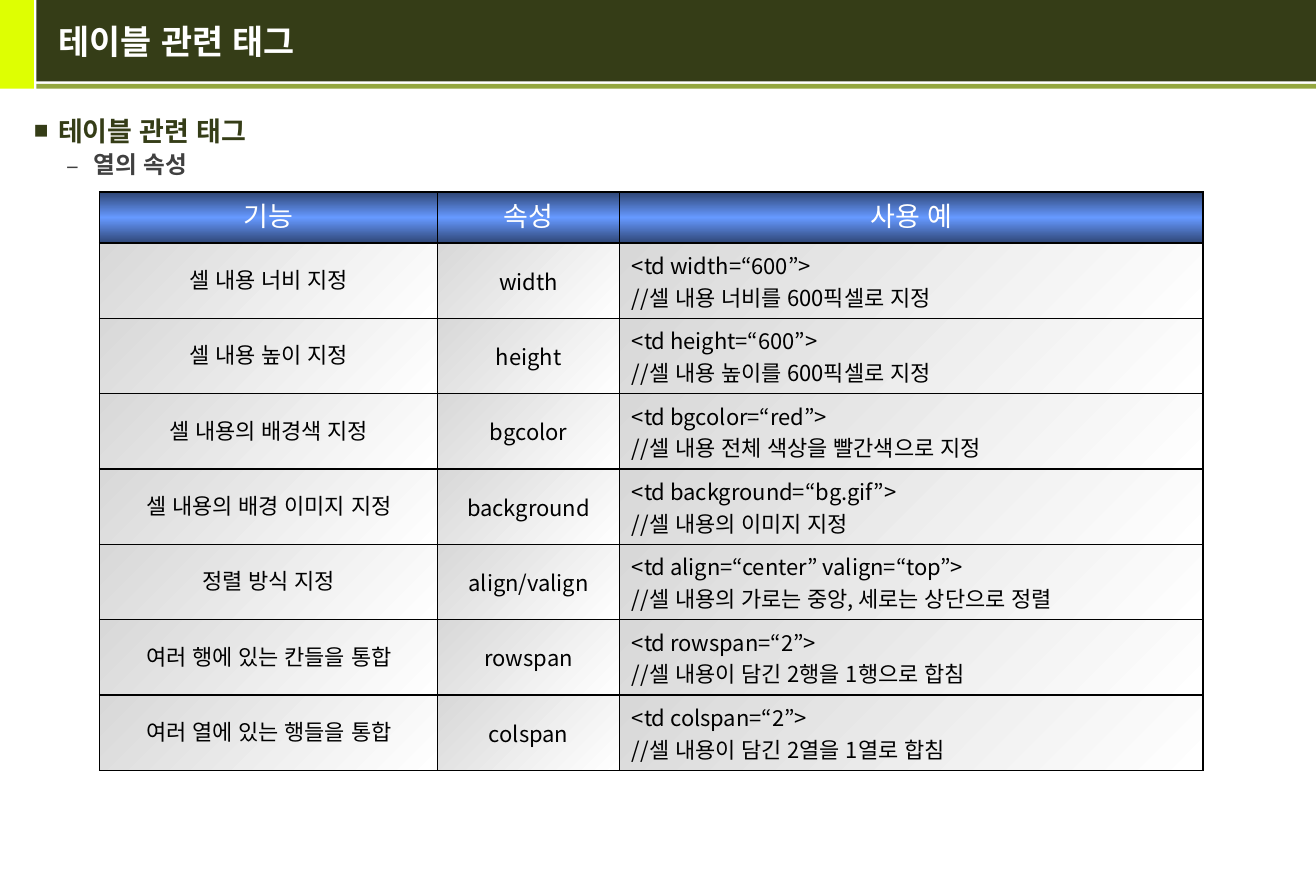
"""Build the slide on table tags and column attributes."""
from copy import deepcopy
from dataclasses import dataclass

from lxml import etree
from pptx import Presentation
from pptx import util as u
from pptx.dml.color import RGBColor
from pptx.enum import shapes, text
from pptx.oxml import ns, parse_xml


@dataclass(frozen=True)
class Theme:
    lime: str = "DEFF02"
    dark: str = "353D17"
    olive: str = "93A73F"
    white: str = "FFFFFF"
    black: str = "000000"
    gray: str = "404040"
    blue: str = "6699FF"
    navy: str = "2F4676"
    pale: str = "D8D8D8"
    sans: str = "Noto Sans CJK KR"
    latin: str = "Arial"
    title: int = 20
    head: int = 16
    sub: int = 14
    cell: int = 13


@dataclass(frozen=True)
class Box:
    left: float
    top: float
    width: float
    height: float

    def emu(self) -> list:
        return [u.Inches(n) for n in (self.left, self.top, self.width, self.height)]


@dataclass(frozen=True)
class Bar:
    box: Box
    color: str


@dataclass(frozen=True)
class Style:
    size: int
    color: str
    bold: bool = False
    font: str = "Noto Sans CJK KR"


@dataclass(frozen=True)
class Point:
    words: str
    style: Style
    mark: str
    scale: int
    left: float
    hang: float
    before: int


@dataclass(frozen=True)
class Fade:
    colors: tuple
    angle: int


T = Theme()
BARS = (
    Bar(Box(0, 0, 0.28, 0.73), T.lime),
    Bar(Box(0.3, 0, 10.54, 0.67), T.dark),
    Bar(Box(0.3, 0.69, 10.55, 0.04), T.olive),
)
POINTS = (
    Point("테이블 관련 태그", Style(T.head, T.dark, True, T.latin), "■", 90, 0.2, 0.2, 0),
    Point("열의 속성", Style(T.sub, T.gray, True), "–", 100, 0.49, 0.22, 2),
)
BLUE = Fade((T.navy, T.blue, T.navy), 90)
PALE = Fade((T.pale, T.white), 45)
COLS = (2.78, 1.5, 4.8)
HEAD, BODY = 0.42, 0.62
ROWS = (
    ("기능", "속성", "사용 예"),
    ("셀 내용 너비 지정", "width", "<td width=“600”>\v//셀 내용 너비를 600픽셀로 지정"),
    ("셀 내용 높이 지정", "height", "<td height=“600”>\v//셀 내용 높이를 600픽셀로 지정"),
    ("셀 내용의 배경색 지정", "bgcolor",
     "<td bgcolor=“red”>\v//셀 내용 전체 색상을 빨간색으로 지정"),
    ("셀 내용의 배경 이미지 지정", "background",
     "<td background=“bg.gif”>\v//셀 내용의 이미지 지정"),
    ("정렬 방식 지정", "align/valign",
     "<td align=“center” valign=“top”>\v//셀 내용의 가로는 중앙, 세로는 상단으로 정렬"),
    ("여러 행에 있는 칸들을 통합", "rowspan",
     "<td rowspan=“2”>\v//셀 내용이 담긴 2행을 1행으로 합침"),
    ("여러 열에 있는 행들을 통합", "colspan",
     "<td colspan=“2”>\v//셀 내용이 담긴 2열을 1열로 합침"),
)


def format_para(para, style: Style) -> None:
    for run in para.runs:
        run.font.size = u.Pt(style.size)
        run.font.bold = style.bold
        run.font.color.rgb = RGBColor.from_string(style.color)
        run.font.name = style.font
        props = run.font._element
        etree.SubElement(props, ns.qn("a:ea"), typeface=T.latin)
        for brk in para._p.findall(ns.qn("a:br")):
            if len(brk) == 0:
                brk.append(deepcopy(props))


def draw_bar(slide, bar: Bar) -> None:
    shape = slide.shapes.add_shape(shapes.MSO_SHAPE.RECTANGLE, *bar.box.emu())
    shape.shadow.inherit = False
    shape.fill.solid()
    shape.fill.fore_color.rgb = RGBColor.from_string(bar.color)
    shape.line.fill.background()


def add_frame(slide, box: Box):
    frame = slide.shapes.add_textbox(*box.emu()).text_frame
    frame.word_wrap = True
    return frame


def draw_title(slide) -> None:
    frame = add_frame(slide, Box(0.38, 0, 10.32, 0.68))
    frame.vertical_anchor = text.MSO_ANCHOR.MIDDLE
    frame.text = "테이블 관련 태그"
    format_para(frame.paragraphs[0], Style(T.title, T.white, True))


def draw_points(slide) -> None:
    frame = add_frame(slide, Box(0.18, 0.89, 10.47, 6.22))
    frame.text = "\n".join(point.words for point in POINTS)
    for level, (para, point) in enumerate(zip(frame.paragraphs, POINTS)):
        para.level = level
        para.space_before = u.Pt(point.before)
        format_para(para, point.style)
        props = para._p.get_or_add_pPr()
        props.set("marL", str(u.Inches(point.left)))
        props.set("indent", str(-u.Inches(point.hang)))
        color = etree.SubElement(props, ns.qn("a:buClr"))
        etree.SubElement(color, ns.qn("a:srgbClr"), val=point.style.color)
        etree.SubElement(props, ns.qn("a:buSzPct"), val=str(point.scale * 1000))
        etree.SubElement(props, ns.qn("a:buFont"), typeface=point.style.font)
        etree.SubElement(props, ns.qn("a:buChar"), char=point.mark)


def paint_cell(cell, fade: Fade) -> None:
    props = cell._tc.get_or_add_tcPr()
    for side in "LRTB":
        props.append(parse_xml(
            f'<a:ln{side} {ns.nsdecls("a")} w="{u.Pt(1)}"><a:solidFill>'
            f'<a:srgbClr val="{T.black}"/></a:solidFill></a:ln{side}>'))
    step = 100000 // (len(fade.colors) - 1)
    stops = "".join(
        f'<a:gs pos="{i * step}"><a:srgbClr val="{color}"/></a:gs>'
        for i, color in enumerate(fade.colors))
    props.append(parse_xml(
        f'<a:gradFill {ns.nsdecls("a")} rotWithShape="1"><a:gsLst>{stops}</a:gsLst>'
        f'<a:lin ang="{fade.angle * 60000}" scaled="1"/></a:gradFill>'))


def draw_table(slide) -> None:
    box = Box(0.82, 1.58, sum(COLS), HEAD + BODY * (len(ROWS) - 1))
    table = slide.shapes.add_table(len(ROWS), len(COLS), *box.emu()).table
    table.first_row = table.horz_banding = False
    for col, width in zip(table.columns, COLS):
        col.width = u.Inches(width)
    for i, words in enumerate(ROWS):
        table.rows[i].height = u.Inches(BODY if i else HEAD)
        style = Style(T.cell, T.black) if i else Style(T.head, T.white)
        for j, word in enumerate(words):
            cell = table.cell(i, j)
            cell.vertical_anchor = text.MSO_ANCHOR.MIDDLE
            cell.text_frame.text = word
            para = cell.text_frame.paragraphs[0]
            left = i > 0 and j == 2
            para.alignment = text.PP_ALIGN.LEFT if left else text.PP_ALIGN.CENTER
            format_para(para, style)
            paint_cell(cell, PALE if i else BLUE)


def main() -> None:
    deck = Presentation()
    deck.slide_width, deck.slide_height = u.Inches(10.83), u.Inches(7.28)
    slide = deck.slides.add_slide(deck.slide_layouts[6])
    for bar in BARS:
        draw_bar(slide, bar)
    draw_points(slide)
    draw_title(slide)
    draw_table(slide)
    deck.save("out.pptx")


if __name__ == "__main__":
    main()
